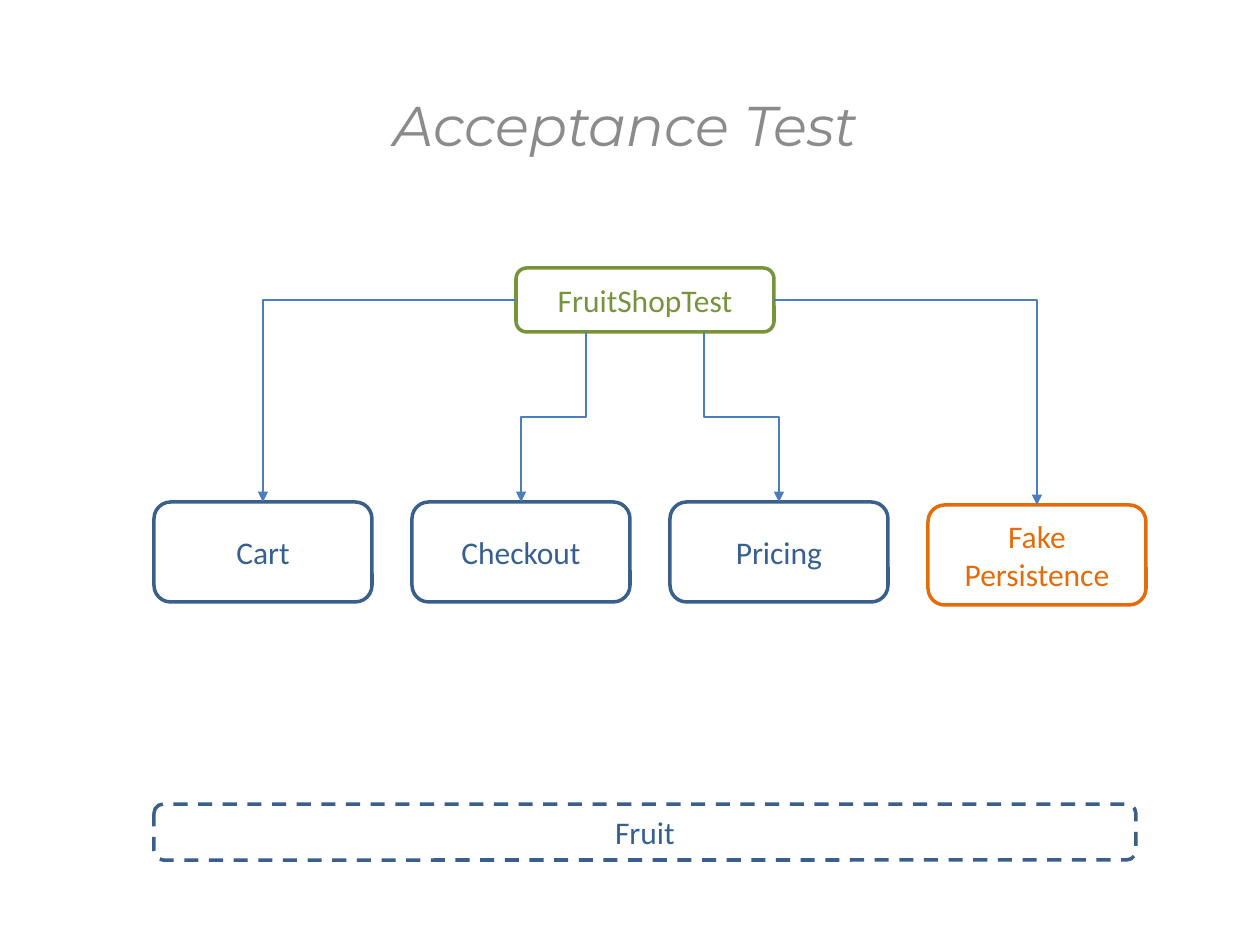
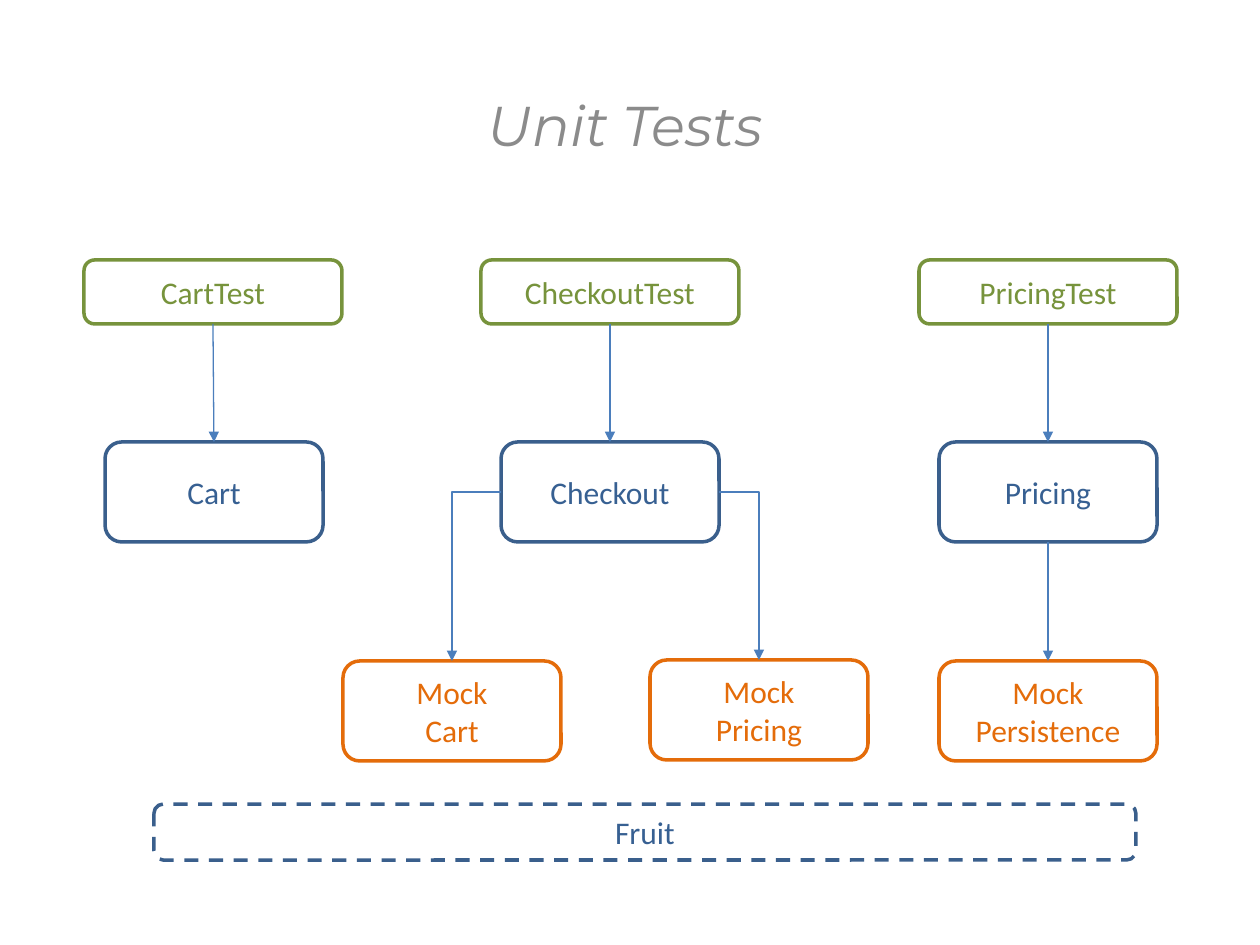
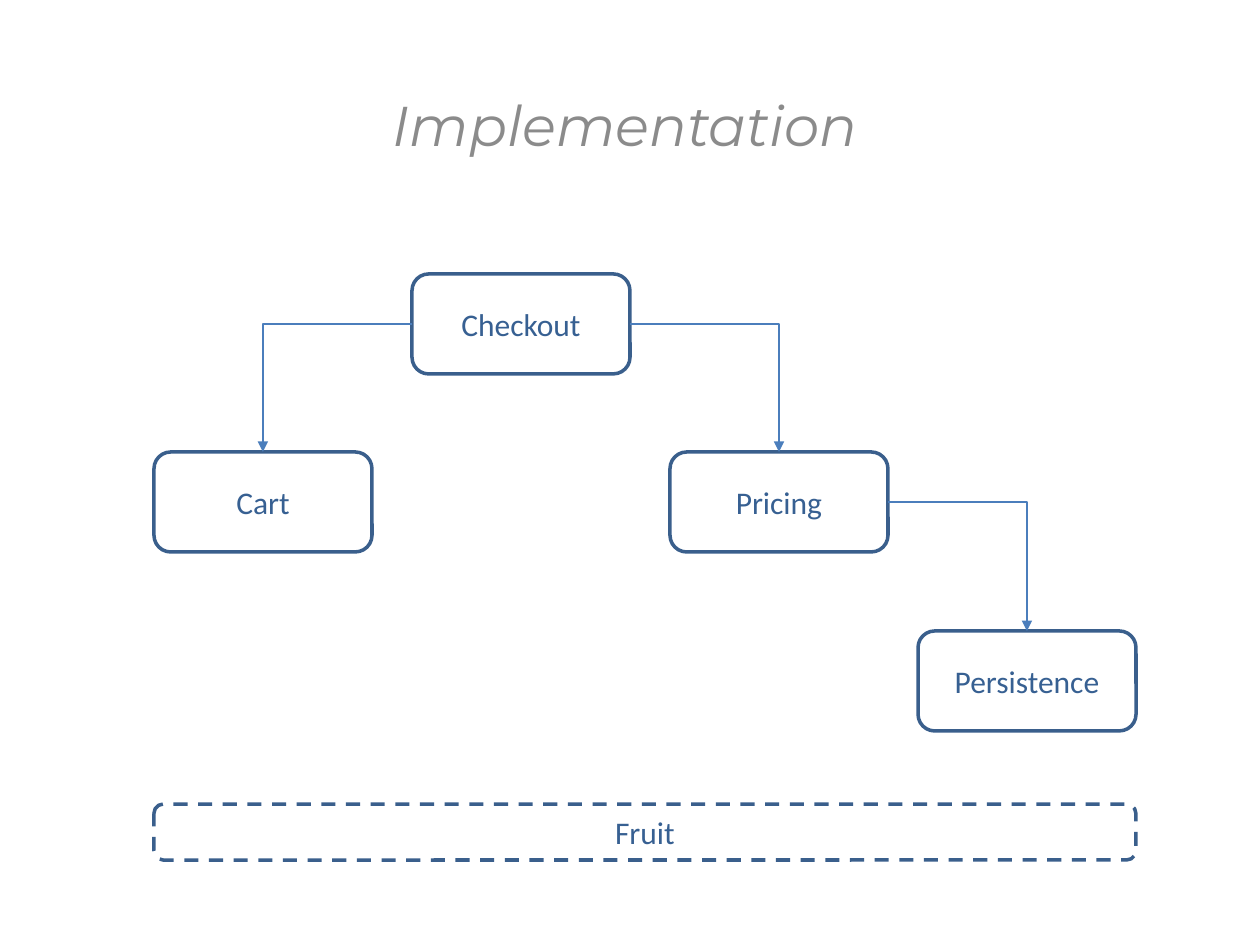
from lxml.etree import SubElement
from pptx import Presentation
from pptx.dml.color import RGBColor
from pptx.enum.dml import MSO_LINE_DASH_STYLE as Dash
from pptx.enum.shapes import MSO_CONNECTOR as Connector, MSO_SHAPE as Shape
from pptx.enum.text import MSO_ANCHOR as Anchor, MSO_AUTO_SIZE as AutoSize, PP_ALIGN as Align
from pptx.oxml.ns import qn
from pptx.util import Pt

PX = 914400 / 126
SLIDE_SIZE = (1260, 945)
TITLE_FRAME = (35, 84, 1181, 81)
TITLE_GREY, ARROW_BLUE = "8B8B8B", "4B7EBC"
TOP, LEFT, BOTTOM, RIGHT = range(4)

STYLES = {
    "test": {"size": (258, 64), "line": "77933C", "color": "77933C"},
    "class": {"size": (218, 100), "line": "3A5F8C", "color": "376092"},
    "double": {"size": (218, 100), "line": "E46C0A", "color": "E46C0A"},
    "base": {"size": (982, 56), "line": "3A5F8C", "color": "376092", "dash": Dash.DASH},
}
BASE_BOX = ("Fruit", "base", 645, 804)

SLIDES = [
    {
        "title": "Acceptance Test",
        "boxes": [
            ("FruitShopTest", "test", 645, 268),
            ("Cart", "class", 263, 502),
            ("Checkout", "class", 521, 502),
            ("Pricing", "class", 779, 502),
            ("Fake\nPersistence", "double", 1037, 505),
        ],
        "arrows": [
            ("FruitShopTest", LEFT, "Cart"),
            ("FruitShopTest", RIGHT, "Fake\nPersistence"),
        ],
        "steps": [
            ("FruitShopTest", -59, "Checkout"),
            ("FruitShopTest", 59, "Pricing"),
        ],
    },
    {
        "title": "Unit Tests",
        "boxes": [
            ("CartTest", "test", 213, 260),
            ("CheckoutTest", "test", 610, 260),
            ("PricingTest", "test", 1048, 260),
            ("Cart", "class", 214, 442),
            ("Checkout", "class", 610, 442),
            ("Pricing", "class", 1048, 442),
            ("Mock\nCart", "double", 452, 661),
            ("Mock\nPricing", "double", 759, 660),
            ("Mock\nPersistence", "double", 1048, 661),
        ],
        "arrows": [
            ("CartTest", BOTTOM, "Cart"),
            ("CheckoutTest", BOTTOM, "Checkout"),
            ("PricingTest", BOTTOM, "Pricing"),
            ("Pricing", BOTTOM, "Mock\nPersistence"),
            ("Checkout", LEFT, "Mock\nCart"),
            ("Checkout", RIGHT, "Mock\nPricing"),
        ],
        "steps": [],
    },
    {
        "title": "Implementation",
        "boxes": [
            ("Checkout", "class", 521, 274),
            ("Cart", "class", 263, 452),
            ("Pricing", "class", 779, 452),
            ("Persistence", "class", 1027, 631),
        ],
        "arrows": [
            ("Checkout", LEFT, "Cart"),
            ("Checkout", RIGHT, "Pricing"),
            ("Pricing", RIGHT, "Persistence"),
        ],
        "steps": [],
    },
]


def emu(*lengths):
    return [round(length * PX) for length in lengths]


def rgb(value):
    return RGBColor.from_string(value)


def place(shape, left, top, width, height):
    shape.left, shape.top, shape.width, shape.height = left, top, width, height


def write(shape, text, color, font="Calibri", size=18, italic=False, anchor=Anchor.MIDDLE):
    frame = shape.text_frame
    frame.text = text
    frame.word_wrap = True
    frame.vertical_anchor = anchor
    for paragraph in frame.paragraphs:
        paragraph.alignment = Align.CENTER
        for run in paragraph.runs:
            run.font.name = font
            run.font.size = Pt(size)
            run.font.italic = italic
            run.font.color.rgb = rgb(color)


def add_title(slide, text):
    title = slide.shapes.title
    place(title, *emu(*TITLE_FRAME))
    write(title, text, TITLE_GREY, font="Montserrat", size=32, italic=True, anchor=Anchor.TOP)
    title.text_frame.auto_size = AutoSize.SHAPE_TO_FIT_TEXT


def add_box(slide, text, style_name, center, top):
    style = STYLES[style_name]
    width, height = style["size"]
    box = slide.shapes.add_shape(
        Shape.ROUNDED_RECTANGLE, *emu(center - width / 2, top, width, height))
    box.shadow.inherit = False
    box.fill.background()
    box.line.color.rgb = rgb(style["line"])
    box.line.width = Pt(2)
    if "dash" in style:
        box.line.dash_style = style["dash"]
    write(box, text, style["color"])
    return box


def add_line(slide, kind, *ends):
    line = slide.shapes.add_connector(kind, *ends)
    line.line.color.rgb = rgb(ARROW_BLUE)
    line.line.width = Pt(0.75)
    properties = line._element.spPr
    SubElement(properties.get_or_add_ln(), qn("a:tailEnd"), type="triangle")
    SubElement(properties, qn("a:effectLst"))
    return line


def add_arrow(slide, source, side, target):
    kind = Connector.STRAIGHT if side == BOTTOM else Connector.ELBOW
    arrow = add_line(slide, kind, 0, 0, 0, 0)
    arrow.begin_connect(source, side)
    arrow.end_connect(target, TOP)
    if kind == Connector.ELBOW:
        arrow._element.spPr.find(qn("a:prstGeom")).set("prst", "bentConnector2")


def add_step(slide, source, offset, target):
    start_x = source.left + source.width // 2 + emu(offset)[0]
    start_y = source.top + source.height
    end_x = target.left + target.width // 2
    drop, shift = target.top - start_y, abs(end_x - start_x)
    step = add_line(slide, Connector.ELBOW, 0, 0, 0, 0)
    place(step, (start_x + end_x - drop) // 2, start_y + (drop - shift) // 2, drop, shift)
    transform = step._element.spPr.find(qn("a:xfrm"))
    goes_right = end_x > start_x
    transform.set("rot", str((270 if goes_right else 90) * 60000))
    transform.set("flipH", "1" if goes_right else "0")


def build_slide(presentation, content):
    slide = presentation.slides.add_slide(presentation.slide_layouts[5])
    add_title(slide, content["title"])
    boxes = {box[0]: add_box(slide, *box) for box in content["boxes"] + [BASE_BOX]}
    for source, side, target in content["arrows"]:
        add_arrow(slide, boxes[source], side, boxes[target])
    for source, offset, target in content["steps"]:
        add_step(slide, boxes[source], offset, boxes[target])


def main():
    presentation = Presentation()
    presentation.slide_width, presentation.slide_height = emu(*SLIDE_SIZE)
    for content in SLIDES:
        build_slide(presentation, content)
    presentation.save("out.pptx")


if __name__ == "__main__":
    main()
